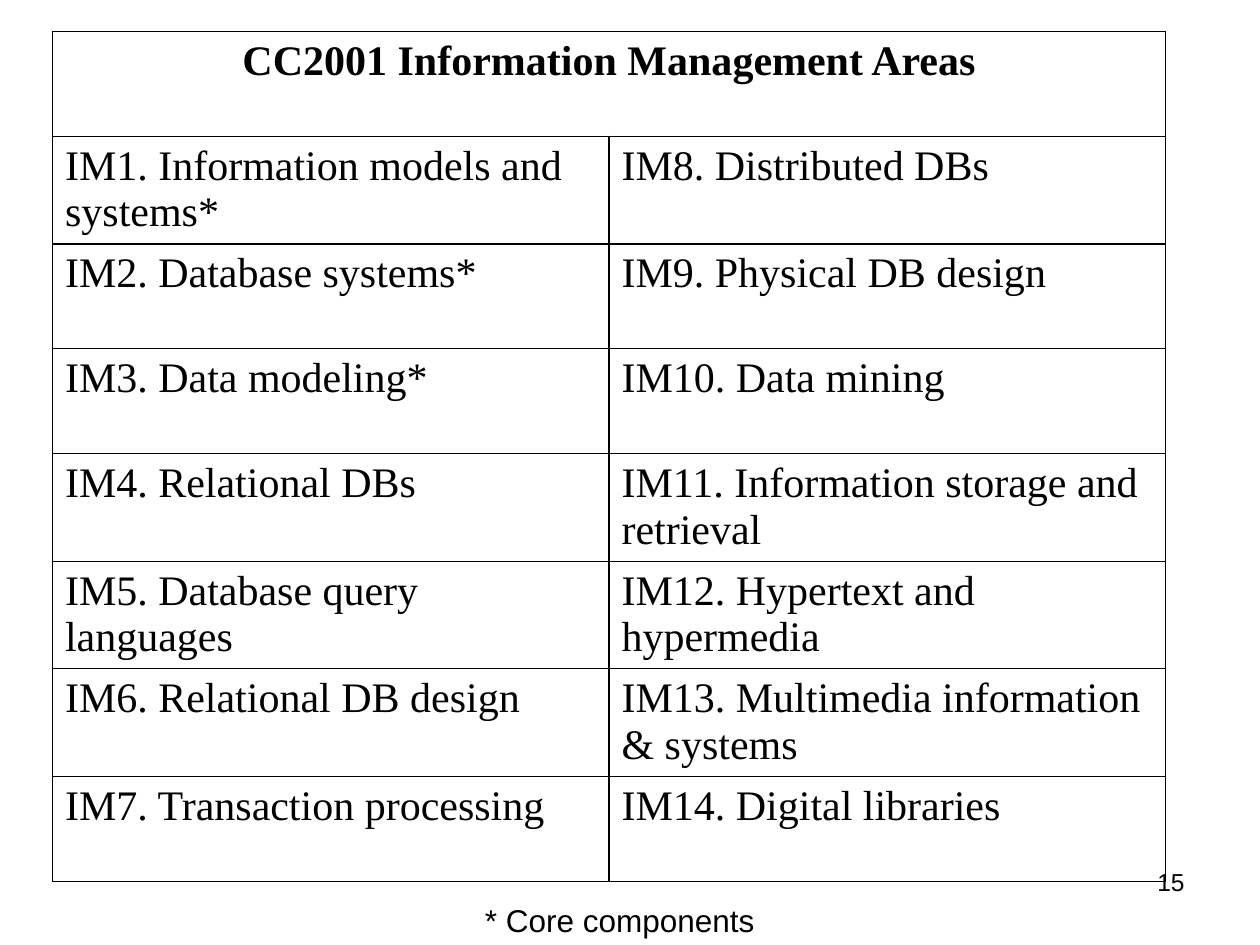
from lxml.etree import SubElement
from pptx import Presentation
from pptx.dml.color import RGBColor
from pptx.enum.text import MSO_ANCHOR as Anchor, MSO_AUTO_SIZE as AutoSize, PP_ALIGN as Align
from pptx.oxml.ns import qn
from pptx.util import Inches, Pt

COLORS = {"ink": "000000"}
SERIF, SANS = "Times New Roman", "Arial"
WIDTH, HEIGHT = Inches(10), Inches(7.5)
GRID_COLUMN, GRID_ROW = WIDTH / 24, HEIGHT / 30
OUTER_LINE, INNER_LINE = 1, 0.75
SHORT_ROW, TALL_ROW = 0.83, 0.85

TITLE = "CC2001 Information Management Areas"
AREAS = [
    ("IM1. Information models and systems*", "IM8. Distributed DBs"),
    ("IM2. Database systems*", "IM9. Physical DB design"),
    ("IM3. Data modeling*", "IM10. Data mining"),
    ("IM4. Relational DBs", "IM11. Information storage and retrieval"),
    ("IM5. Database query languages", "IM12. Hypertext and hypermedia"),
    ("IM6. Relational DB design", "IM13. Multimedia information & systems"),
    ("IM7. Transaction processing", "IM14. Digital libraries"),
]
# The heading, then one height for each pair of areas.
ROW_HEIGHTS = [SHORT_ROW, TALL_ROW, SHORT_ROW, SHORT_ROW, TALL_ROW, TALL_ROW, TALL_ROW, SHORT_ROW]


def grid_box(left, top, width, height):
    """Turn grid columns and rows into a box of lengths."""
    return [round(count * unit) for count, unit in
            zip((left, top, width, height), (GRID_COLUMN, GRID_ROW) * 2)]


def write(frame, text, font=SERIF, size=24, bold=False, align=Align.LEFT):
    paragraph = frame.paragraphs[0]
    paragraph.alignment = align
    run = paragraph.add_run()
    run.text = text
    run.font.name, run.font.size, run.font.bold = font, Pt(size), bold
    run.font.color.rgb = RGBColor.from_string(COLORS["ink"])


def set_borders(cell, widths):
    """Draw the left, right, top and bottom lines, ahead of the cell's fill."""
    properties = cell._tc.get_or_add_tcPr()
    for index, (side, width) in enumerate(zip(("lnL", "lnR", "lnT", "lnB"), widths)):
        line = SubElement(properties, qn(f"a:{side}"), w=str(Pt(width)))
        fill = SubElement(line, qn("a:solidFill"))
        SubElement(fill, qn("a:srgbClr"), val=COLORS["ink"])
        properties.insert(index, line)


def add_areas_table(slide, box):
    row_count, column_count = len(AREAS) + 1, 2
    table = slide.shapes.add_table(row_count, column_count, *box).table
    table.first_row = table.horz_banding = False
    for column in table.columns:
        column.width = box[2] // column_count
    for row, height in zip(table.rows, ROW_HEIGHTS):
        row.height = round(box[3] * height / sum(ROW_HEIGHTS))

    for row_index in range(row_count):
        for column_index in range(column_count):
            cell = table.cell(row_index, column_index)
            cell.fill.background()
            cell.margin_bottom = 0  # keeps two lines of text within a tall row
            heading = row_index == 0
            on_edge = (column_index == 0, column_index == column_count - 1,
                       row_index <= 1, row_index == row_count - 1)
            set_borders(cell, [OUTER_LINE if heading or edge else INNER_LINE
                               for edge in on_edge])
            if not heading:
                write(cell.text_frame, AREAS[row_index - 1][column_index])

    title_cell = table.cell(0, 0)
    title_cell.merge(table.cell(0, column_count - 1))
    write(title_cell.text_frame, TITLE, bold=True, align=Align.CENTER)


def add_slide_number(slide, box):
    frame = slide.shapes.add_textbox(*box).text_frame
    frame.word_wrap = True
    write(frame, "15", font=SANS, size=14, align=Align.RIGHT)


def add_footnote(slide, box):
    frame = slide.shapes.add_textbox(*box).text_frame
    frame.word_wrap = False
    frame.auto_size = AutoSize.SHAPE_TO_FIT_TEXT
    frame.vertical_anchor = Anchor.MIDDLE
    write(frame, "* Core components", font=SANS, size=18)


def main():
    presentation = Presentation()
    presentation.slide_width, presentation.slide_height = WIDTH, HEIGHT
    slide = presentation.slides.add_slide(presentation.slide_layouts[6])
    add_slide_number(slide, grid_box(17.2, 27.33, 5.6, 2.08))
    add_areas_table(slide, grid_box(1, 1, 21.2, 26.98))
    add_footnote(slide, grid_box(9, 28.4, 5.62, 1.6))
    presentation.save("out.pptx")


if __name__ == "__main__":
    main()
